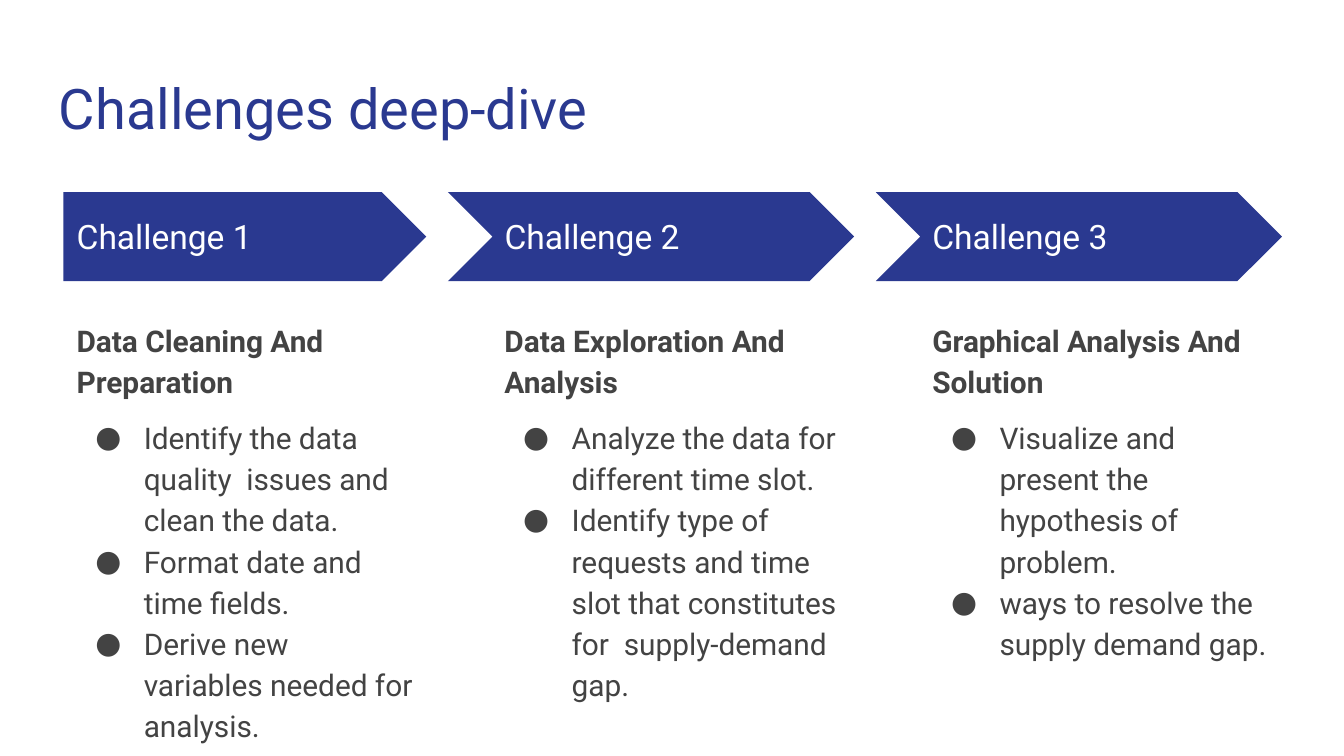
from lxml import etree
from pptx import Presentation
from pptx.dml.color import RGBColor
from pptx.enum.shapes import MSO_SHAPE
from pptx.enum.text import MSO_ANCHOR
from pptx.oxml.ns import qn
from pptx.util import Pt

PENTAGON, CHEVRON = MSO_SHAPE.PENTAGON, MSO_SHAPE.CHEVRON
TOP, MIDDLE = MSO_ANCHOR.TOP, MSO_ANCHOR.MIDDLE
BLUE, GREY, WHITE = "2A3990", "434343", "FFFFFF"

CHALLENGES = [
    ("Challenge 1", "Data Cleaning And Preparation", [
        "Identify the data quality  issues and clean the data.",
        "Format date and time fields.",
        "Derive new variables needed for analysis."]),
    ("Challenge 2", "Data Exploration And Analysis", [
        "Analyze the data for different time slot.",
        "Identify type of requests and time slot that constitutes "
        "for  supply-demand gap."]),
    ("Challenge 3", "Graphical Analysis And Solution", [
        "Visualize and present the hypothesis of problem.",
        "ways to resolve the supply demand gap."]),
]


def color(value):
    return RGBColor.from_string(value)


def add_text_frame(page, left, top, width, height, anchor=TOP):
    box = page.shapes.add_textbox(Pt(left), Pt(top), Pt(width), Pt(height))
    frame = box.text_frame
    settings = {"word_wrap": True, "vertical_anchor": anchor}
    for side in ("left", "top", "right", "bottom"):
        settings["margin_" + side] = Pt(7.2)
    for name, value in settings.items():
        setattr(frame, name, value)
    return frame


def write(para, text, size, ink, bold=False, **spacing):
    span = para.add_run()
    span.text = text
    span.font.color.rgb = color(ink)
    for name, value in {"name": "Roboto", "size": Pt(size), "bold": bold}.items():
        setattr(span.font, name, value)
    for name, value in spacing.items():
        setattr(para, name, value)


def add_bullet(para):
    props = para._p.get_or_add_pPr()
    props.set("marL", str(Pt(36)))
    props.set("indent", str(-Pt(26)))
    bullet_color = etree.SubElement(props, qn("a:buClr"))
    etree.SubElement(bullet_color, qn("a:srgbClr"), val=GREY)
    etree.SubElement(props, qn("a:buFont"), typeface="Roboto")
    etree.SubElement(props, qn("a:buChar"), char="●")


def add_title(page, left, top, width, height):
    frame = add_text_frame(page, left, top, width, height)
    write(frame.paragraphs[0], "Challenges deep-dive", 30, BLUE)


def add_challenge(page, left, top, width, notch, label, heading, points):
    # Arrow banner; a chevron's notch reaches left of the text column
    arrow = page.shapes.add_shape(
        CHEVRON if notch else PENTAGON,
        Pt(left - notch), Pt(top), Pt(width + notch), Pt(47.7))
    arrow.adjustments[0] = 0.5
    arrow.shadow.inherit = False
    arrow.fill.solid()
    arrow.fill.fore_color.rgb = color(BLUE)
    arrow.line.fill.background()

    # Banner label
    frame = add_text_frame(page, left, top + 11.6, 178, 24.5, MIDDLE)
    write(frame.paragraphs[0], label, 18, WHITE)

    # Heading and bullets
    frame = add_text_frame(page, left, top + 59.8, width, 234.7)
    write(frame.paragraphs[0], heading, 16, GREY, bold=True, line_spacing=1.15)
    for index, point in enumerate(points):
        para = frame.add_paragraph()
        write(para, point, 16, GREY, line_spacing=1.15,
              space_before=Pt(0 if index else 8))
        add_bullet(para)


deck = Presentation()
deck.slide_width, deck.slide_height = Pt(720), Pt(405)
page = deck.slides.add_slide(deck.slide_layouts[6])

add_title(page, 24.5, 32.4, 671, 47.5)
for column, challenge in enumerate(CHALLENGES):
    add_challenge(page, 34 + 229.2 * column, 102.9, 194.4,
                  23.2 if column else 0, *challenge)

deck.save("out.pptx")
